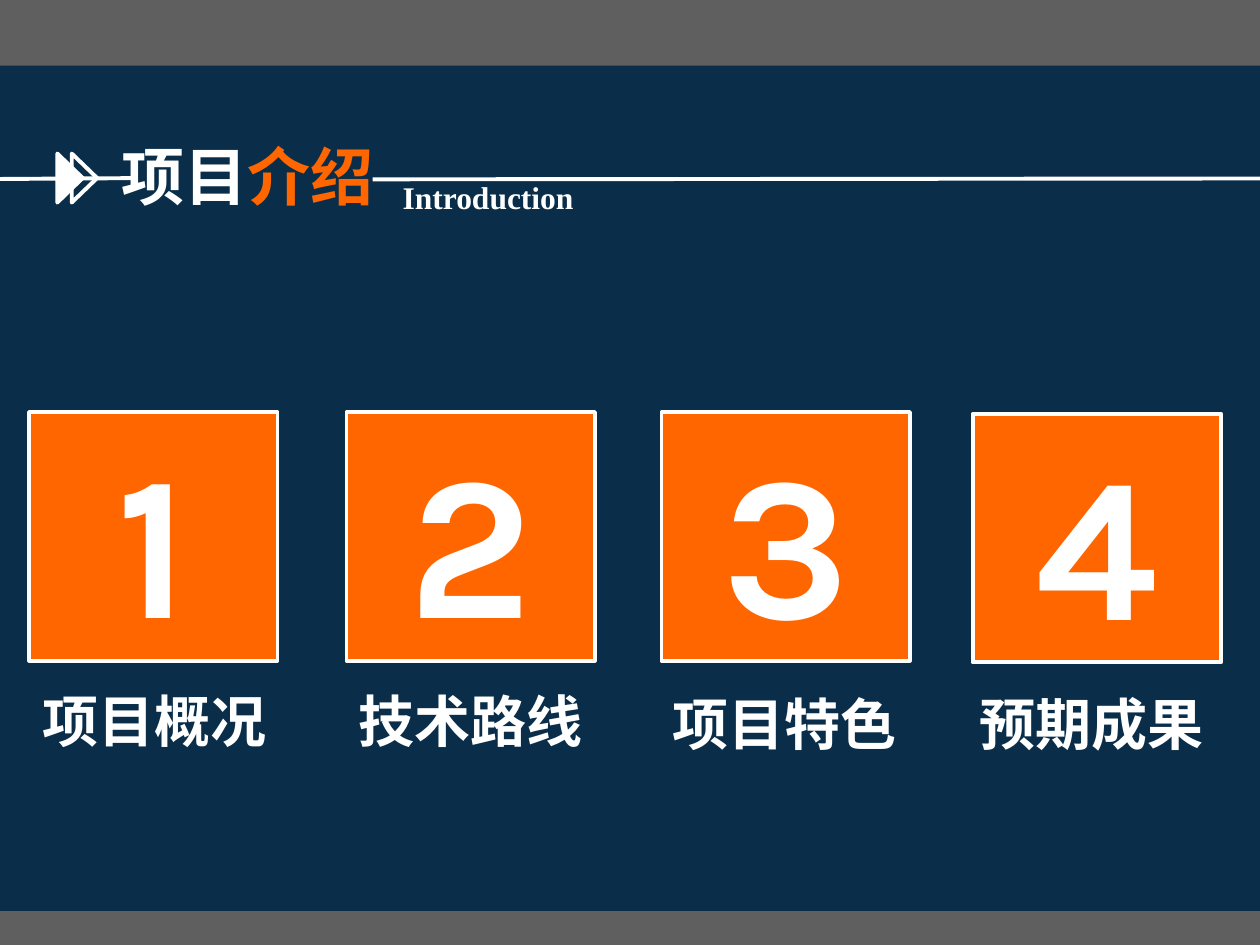
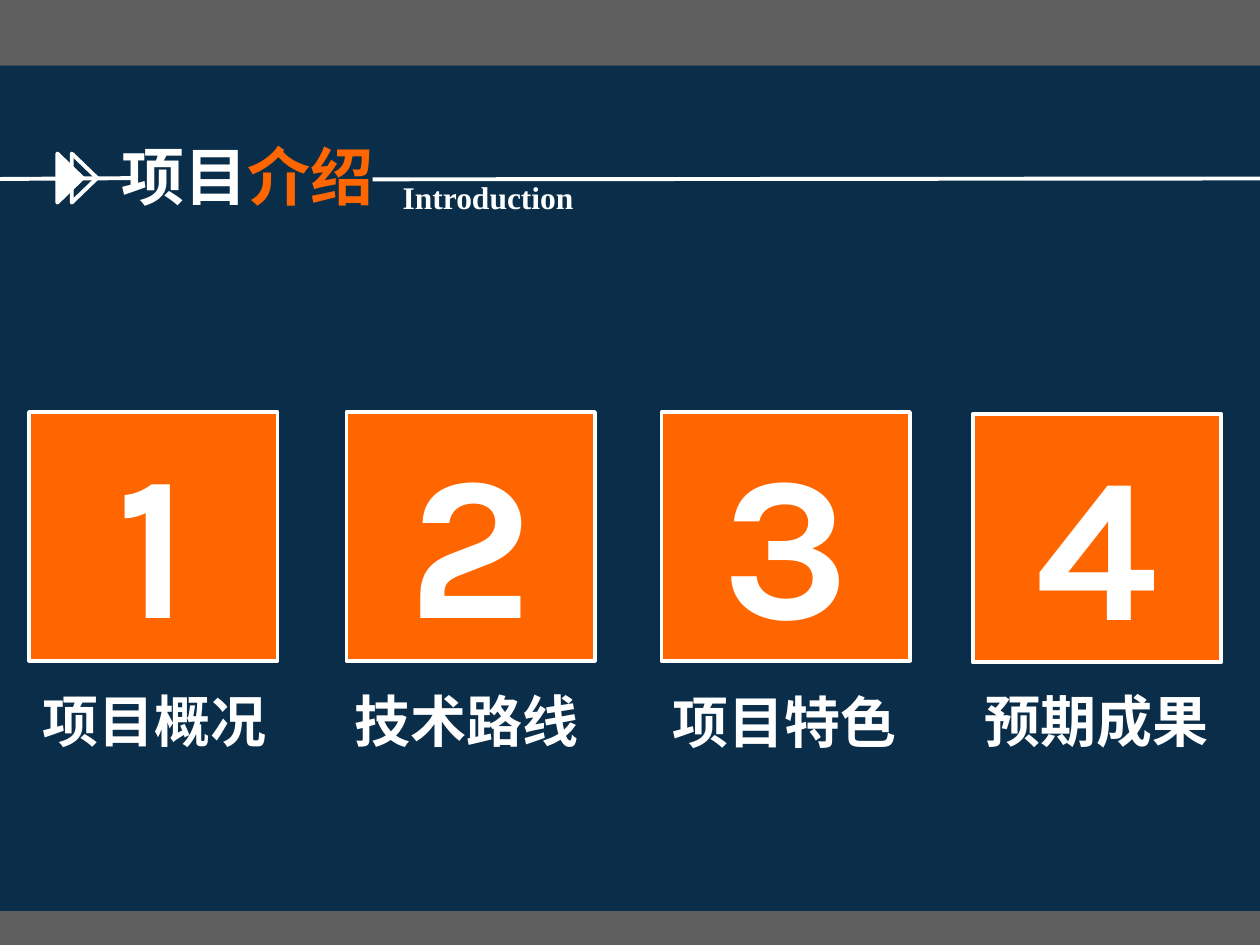
from dataclasses import dataclass

from lxml.etree import SubElement
from pptx import Presentation
from pptx.dml.color import RGBColor
from pptx.enum.shapes import MSO_CONNECTOR as Connector, MSO_SHAPE as Shape
from pptx.enum.text import MSO_ANCHOR as Anchor, MSO_AUTO_SIZE as AutoSize, PP_ALIGN as Align
from pptx.oxml.ns import qn
from pptx.util import Pt


@dataclass(frozen=True)
class Theme:
    backdrop: RGBColor = RGBColor.from_string("5F5F5F")
    navy: RGBColor = RGBColor.from_string("012947")
    orange: RGBColor = RGBColor.from_string("FF6600")
    white: RGBColor = RGBColor.from_string("FFFFFF")
    sans: str = "Arial"
    serif: str = "Times New Roman"
    display: str = "Karla"
    title_size: int = 36
    subtitle_size: int = 18
    label_size: int = 32
    number_size: int = 117
    line_width: float = 2.25
    panel_opacity: int = 90


class Deck:
    def __init__(self, theme):
        self.theme = theme
        self.deck = Presentation()
        self.deck.slide_width, self.deck.slide_height = Pt(720), Pt(540)
        self.layout = self.deck.slide_layouts.get_by_name("Title Only")
        self.page = None
        background = self.deck.slide_master.background.fill
        background.solid()
        background.fore_color.rgb = theme.backdrop

    def new_page(self):
        self.page = self.deck.slides.add_slide(self.layout)

    def share_panel(self):
        """Draw the translucent panel and move it to the layout behind every page."""
        panel = self.shape(Shape.RECTANGLE, -0.5, 37.5, 721, 483, self.theme.navy, outlined=False)
        color = panel._element.spPr.find(qn("a:solidFill"))[0]
        SubElement(color, qn("a:alpha"), val=str(self.theme.panel_opacity * 1000))
        panel._element.nvSpPr.cNvPr.set("id", "100")
        self.layout.shapes._spTree.insert(2, panel._element)

    def shape(self, kind, left, top, width, height, fill=None, outlined=True):
        shape = self.page.shapes.add_shape(kind, Pt(left), Pt(top), Pt(width), Pt(height))
        shape.shadow.inherit = False
        if fill is None:
            shape.fill.background()
        else:
            shape.fill.solid()
            shape.fill.fore_color.rgb = fill
        if outlined:
            shape.line.color.rgb = self.theme.white
            shape.line.width = Pt(self.theme.line_width)
        else:
            shape.line.fill.background()
        return shape

    def line(self, x1, y1, x2, y2):
        line = self.page.shapes.add_connector(Connector.STRAIGHT, Pt(x1), Pt(y1), Pt(x2), Pt(y2))
        line.line.color.rgb = self.theme.white
        line.line.width = Pt(self.theme.line_width)
        SubElement(line._element.spPr, qn("a:effectLst"))

    def set_text(self, box, spans, font, size, align=Align.LEFT, anchor=Anchor.TOP, wrap=True):
        """Fill a box with one bold paragraph made of (text, colour) spans."""
        frame = box.text_frame
        frame.word_wrap = wrap
        frame.auto_size = AutoSize.NONE
        frame.vertical_anchor = anchor
        frame.margin_left = frame.margin_right = Pt(7.2)
        frame.margin_top = frame.margin_bottom = Pt(3.6)
        para = frame.paragraphs[0]
        para.alignment = align
        para.font.name, para.font.size, para.font.bold = font, Pt(size), True
        for text, color in spans:
            span = para.add_run()
            span.text = text
            span.font.color.rgb = color

    def text(self, text, left, top, width, height, font, size):
        box = self.page.shapes.add_textbox(Pt(left), Pt(top), Pt(width), Pt(height))
        self.set_text(box, [(text, self.theme.white)], font, size)

    def tile(self, number, left, top):
        theme = self.theme
        box = self.shape(Shape.RECTANGLE, left, top, 142, 142, theme.orange)
        self.set_text(box, [(str(number), theme.white)], theme.display, theme.number_size,
                      Align.CENTER, Anchor.MIDDLE, wrap=False)

    def heading(self, lead, accent, subtitle):
        theme = self.theme
        title = self.page.shapes.title
        title.left, title.top, title.width, title.height = Pt(62.5), Pt(75), Pt(331), Pt(50.5)
        self.set_text(title, [(lead, theme.white), (accent, theme.orange)],
                      theme.sans, theme.title_size)
        self.line(-0.5, 102.3, 75.5, 101.8)
        for left, fill in ((26, theme.white), (34.25, None)):
            arrow = self.shape(Shape.ISOSCELES_TRIANGLE, left, 94.5, 28, 14.5, fill)
            arrow.rotation = 90
        self.line(213, 102.5, 721, 102)
        self.text(subtitle, 223, 98, 191, 29, theme.serif, theme.subtitle_size)


TILES = [(16.6, 235.5), (198, 235.5), (378, 235.5), (555.8, 236.5)]
LABELS = [("项目概况", 152), ("技术路线", 147.6), ("项目特色", 160), ("预期成果", 160)]
LABEL_PLACES = [
    [(17.3, 389), (198, 389), (377.5, 390.2), (552.7, 390.2)],
    [(17.3, 389), (195.7, 389), (377.5, 389.6), (555.8, 388.7)],
]


def main():
    theme = Theme()
    deck = Deck(theme)
    for index, label_places in enumerate(LABEL_PLACES):
        deck.new_page()
        if index == 0:
            deck.share_panel()
        deck.heading("项目", "介绍", "Introduction")
        for number, (left, top) in enumerate(TILES, 1):
            deck.tile(number, left, top)
        for (label, width), (left, top) in zip(LABELS, label_places):
            deck.text(label, left, top, width, 46, theme.sans, theme.label_size)
    deck.deck.save("out.pptx")


if __name__ == "__main__":
    main()
